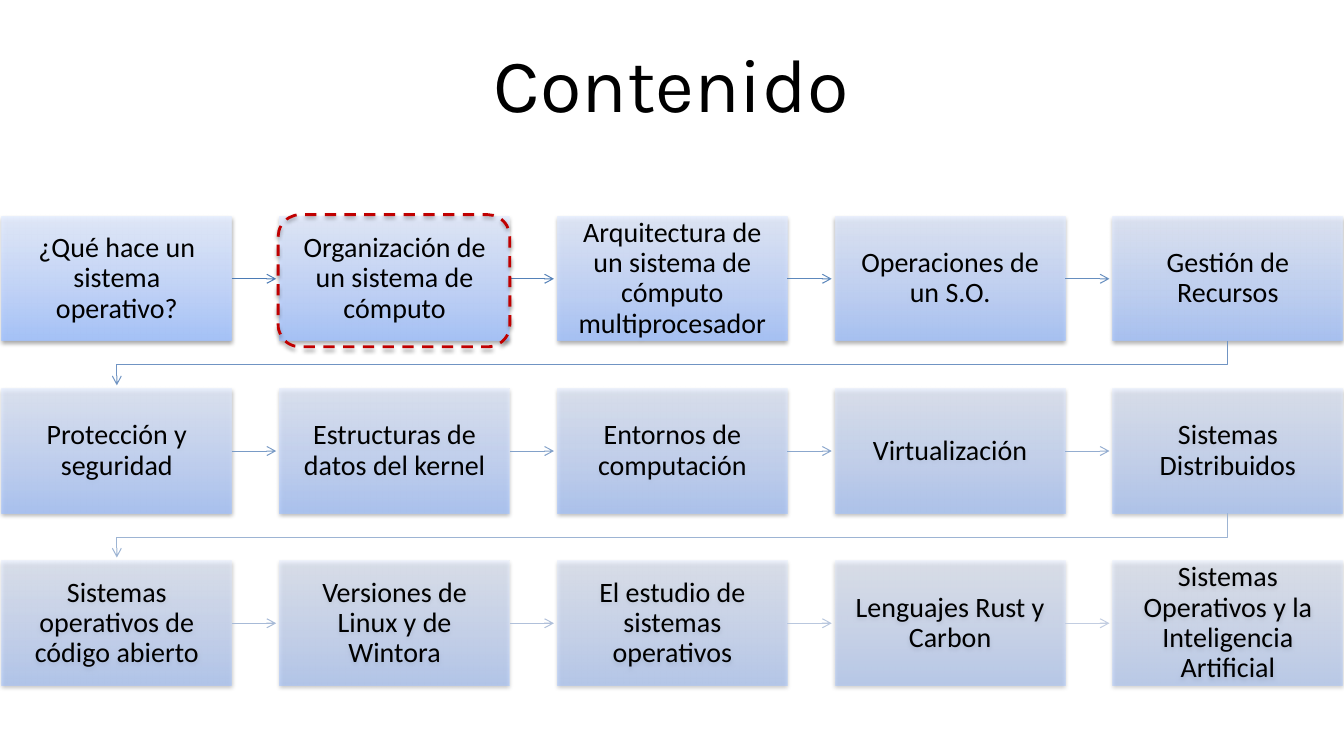
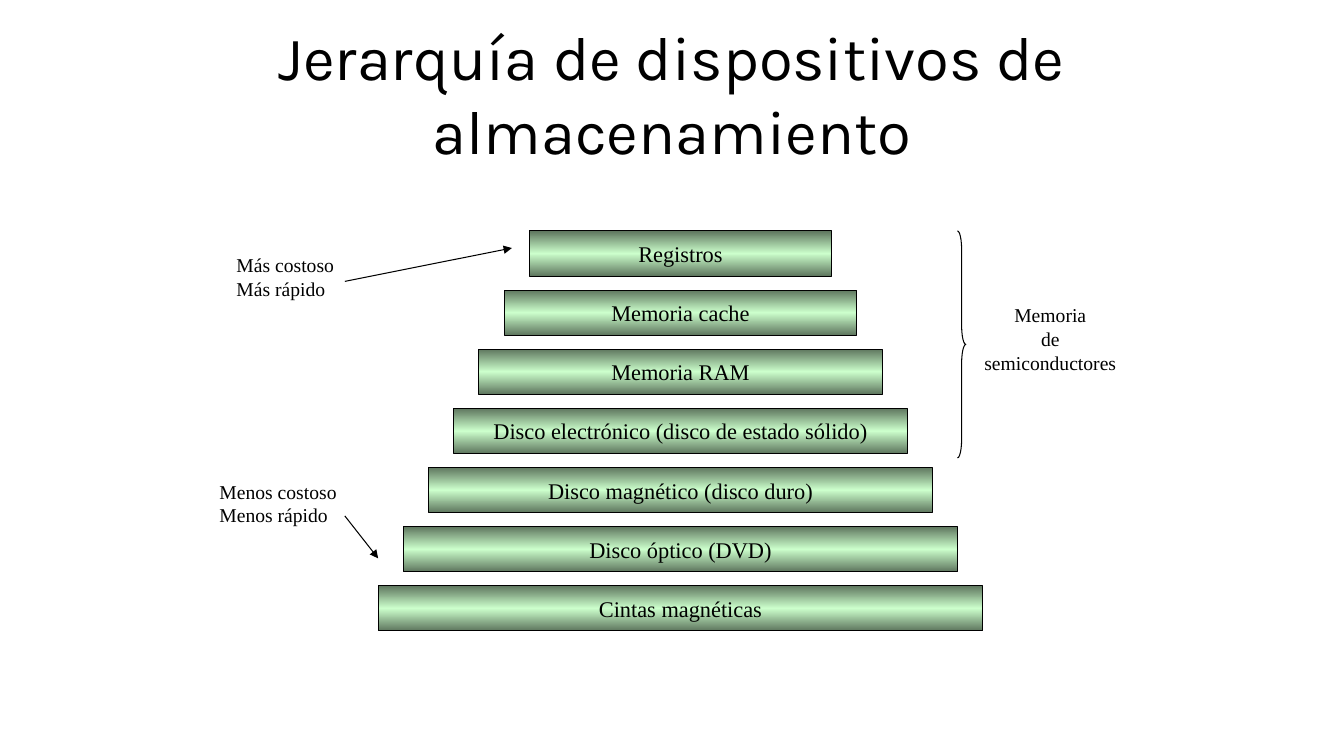
from dataclasses import dataclass

from pptx import Presentation
from pptx.dml.color import RGBColor
from pptx.enum.dml import MSO_LINE
from pptx.enum.shapes import MSO_CONNECTOR as Connector, MSO_SHAPE as Shape
from pptx.enum.text import MSO_ANCHOR as Anchor, MSO_AUTO_SIZE as AutoSize, PP_ALIGN as Align
from pptx.oxml.ns import qn
from pptx.oxml.xmlchemy import OxmlElement
from pptx.util import Cm, Pt


@dataclass(frozen=True)
class Theme:
    ink: str = "000000"
    highlight: str = "C00000"
    topic_stops: tuple = ((0, "A4C4FF"), (35, "BFD4FF"), (100, "E6EEFF"))
    level_stops: tuple = ((0, "5E765E"), (50, "CCFFCC"), (100, "5E765E"))
    first_arrow: str = "4B7BB5"
    last_arrow: str = "C2CDE1"
    title_font: str = "Karla"
    topic_font: str = "Calibri"
    diagram_font: str = "Times New Roman"
    topic_size: int = 20
    level_size: int = 16
    note_size: int = 14
    thin: float = 0.75


THEME = Theme()

TOPICS = [
    "¿Qué hace un sistema operativo?",
    "Organización de un sistema de cómputo",
    "Arquitectura de un sistema de cómputo multiprocesador",
    "Operaciones de un S.O.",
    "Gestión de Recursos",
    "Protección y seguridad",
    "Estructuras de datos del kernel",
    "Entornos de computación",
    "Virtualización",
    "Sistemas Distribuidos",
    "Sistemas operativos de código abierto",
    "Versiones de Linux y de Wintora",
    "El estudio de sistemas operativos",
    "Lenguajes Rust y Carbon",
    "Sistemas Operativos y la Inteligencia Artificial",
]
COLUMNS = 5
CURRENT_TOPIC = 1

LEVELS = [
    "Registros",
    "Memoria cache",
    "Memoria RAM",
    "Disco electrónico (disco de estado sólido)",
    "Disco magnético (disco duro)",
    "Disco óptico (DVD)",
    "Cintas magnéticas",
]
# Lines, box in cm, alignment
NOTES = [
    (["Más costoso", "Más rápido"], (5.71, 6.25, 3, 1.45), Align.LEFT),
    (["Menos costoso", "Menos rápido"], (5.28, 11.96, 3.5, 1.45), Align.LEFT),
    (["Memoria", "de", "semiconductores"], (24.54, 7.52, 3.86, 2.06), Align.CENTER),
]
# Start and end in cm
NOTE_ARROWS = [(8.69, 7.09, 12.9, 6.25), (8.69, 13, 9.53, 14.07)]


def lengths(values):
    return [Cm(value) for value in values]


def write(shape, lines, font, size, align=Align.CENTER, anchor=Anchor.MIDDLE, wrap=True, spacing=None):
    frame = shape.text_frame
    frame.text = "\n".join(lines)
    frame.word_wrap = wrap
    frame.vertical_anchor = anchor
    for paragraph in frame.paragraphs:
        paragraph.alignment = align
        paragraph.line_spacing = spacing
        paragraph.font.name = font
        paragraph.font.size = Pt(size)
        paragraph.font.color.rgb = RGBColor.from_string(THEME.ink)
    return frame


def add_titled_slide(presentation, title, box, size):
    slide = presentation.slides.add_slide(presentation.slide_layouts[5])
    placeholder = slide.shapes.title
    placeholder.left, placeholder.top, placeholder.width, placeholder.height = lengths(box)
    frame = write(placeholder, [title], THEME.title_font, size)
    frame.auto_size = AutoSize.NONE
    return slide


def add_child(parent, tag, **attributes):
    child = OxmlElement(tag)
    for name, value in attributes.items():
        child.set(name, str(value))
    parent.append(child)
    return child


def add_color(parent, color, opacity):
    element = add_child(parent, "a:srgbClr", val=color)
    if opacity < 100:
        add_child(element, "a:alpha", val=round(opacity * 1000))


def fill_gradient(shape, stops, angle, opacity=100):
    gradient = OxmlElement("a:gradFill")
    gradient.set("rotWithShape", "1")
    stop_list = add_child(gradient, "a:gsLst")
    for position, color in stops:
        add_color(add_child(stop_list, "a:gs", pos=position * 1000), color, opacity)
    add_child(gradient, "a:lin", ang=angle * 60000, scaled=0)
    shape._element.spPr.find(qn("a:prstGeom")).addnext(gradient)


def cast_shadow(shape, opacity, distance):
    effects = shape._element.spPr.find(qn("a:effectLst"))
    shadow = add_child(effects, "a:outerShdw", blurRad=Pt(3.15), dist=Pt(distance),
                       dir=90 * 60000, rotWithShape=0)
    add_color(shadow, THEME.ink, opacity)


def set_line(shape, color, width=THEME.thin, head=None):
    shape.line.color.rgb = RGBColor.from_string(color)
    shape.line.width = Pt(width)
    if head:
        add_child(shape._element.spPr.find(qn("a:ln")), "a:tailEnd", type=head)


def add_plain_shape(slide, kind, box):
    shape = slide.shapes.add_shape(kind, *lengths(box))
    shape.shadow.inherit = False
    return shape


def add_arrow(slide, points, color, head, source=None):
    connector = slide.shapes.add_connector(Connector.STRAIGHT, *lengths(points))
    if source is not None:
        connector.begin_connect(source, 3)
    set_line(connector, color, head=head)
    add_child(connector._element.spPr, "a:effectLst")


def add_return_arrow(slide, points, color):
    """Draw a bent arrow from the end of one row to the start of the next."""
    start, *corners = [lengths(point) for point in points]
    builder = slide.shapes.build_freeform(*start)
    builder.add_line_segments(corners, close=False)
    arrow = builder.convert_to_shape()
    arrow.shadow.inherit = False
    arrow.fill.background()
    set_line(arrow, color, head="arrow")


def blend(first, last, share):
    pairs = zip(RGBColor.from_string(first), RGBColor.from_string(last))
    return "".join(f"{round(a + (b - a) * share):02X}" for a, b in pairs)


def build_contents(presentation):
    slide = add_titled_slide(presentation, "Contenido", (2.31, 0.23, 29.21, 3.68), 54)
    left, top, width, height = 0.05, 5.46, 5.79, 3.13
    column_step, row_step, reach = 7, 4.34, 1.12
    last = len(TOPICS) - 1

    for index, topic in enumerate(TOPICS):
        row, column = divmod(index, COLUMNS)
        x, y = left + column * column_step, top + row * row_step
        box = add_plain_shape(slide, Shape.RECTANGLE, (x, y, width, height))
        fill_gradient(box, THEME.topic_stops, 270, 90 - 40 * index / last)
        box.line.fill.background()
        cast_shadow(box, 38, 1.57)
        frame = write(box, [topic], THEME.topic_font, THEME.topic_size, spacing=0.9)
        frame.margin_left = frame.margin_right = Cm(0.41)
        frame.margin_top = frame.margin_bottom = Cm(0.41)

        if index == last:
            continue
        color = blend(THEME.first_arrow, THEME.last_arrow, index / (last - 1))
        if column < COLUMNS - 1:
            middle = y + height / 2
            add_arrow(slide, (x + width, middle, x + width + reach, middle), color, "arrow", box)
        else:
            start, end, bottom = x + width / 2, left + width / 2, y + height
            turn = bottom + (row_step - height) / 2
            add_return_arrow(slide, [(start, bottom), (start, turn), (end, turn),
                                     (end, bottom + reach)], color)

    row, column = divmod(CURRENT_TOPIC, COLUMNS)
    marker = add_plain_shape(slide, Shape.ROUNDED_RECTANGLE, (
        left + column * column_step - 0.04, top + row * row_step - 0.05, width + 0.05, height + 0.2))
    marker.fill.background()
    set_line(marker, THEME.highlight, 2)
    marker.line.dash_style = MSO_LINE.DASH
    cast_shadow(marker, 35, 1.81)


def build_hierarchy(presentation):
    slide = add_titled_slide(presentation, "Jerarquía de dispositivos de almacenamiento",
                             (1.7, 0.76, 30.48, 3.18), 44)
    center, top, height, step = 17.15, 5.82, 1.14, 1.49

    for index, level in enumerate(LEVELS):
        width = 7.62 + 1.27 * index
        bar = add_plain_shape(slide, Shape.RECTANGLE,
                              (center - width / 2, top + index * step, width, height))
        fill_gradient(bar, THEME.level_stops, 90)
        set_line(bar, THEME.ink)
        write(bar, [level], THEME.diagram_font, THEME.level_size, wrap=False)

    for lines, box, align in NOTES:
        note = slide.shapes.add_textbox(*lengths(box))
        frame = write(note, lines, THEME.diagram_font, THEME.note_size, align, Anchor.TOP, False)
        frame.auto_size = AutoSize.SHAPE_TO_FIT_TEXT

    for points in NOTE_ARROWS:
        add_arrow(slide, points, THEME.ink, "triangle")

    brace = add_plain_shape(slide, Shape.RIGHT_BRACE, (24.13, top, 0.21, 5.72))
    brace.adjustments[0] = 2.25
    brace.fill.background()
    set_line(brace, THEME.ink)


def main():
    presentation = Presentation()
    presentation.slide_width, presentation.slide_height = Cm(33.87), Cm(19.05)
    build_contents(presentation)
    build_hierarchy(presentation)
    presentation.save("out.pptx")


if __name__ == "__main__":
    main()
